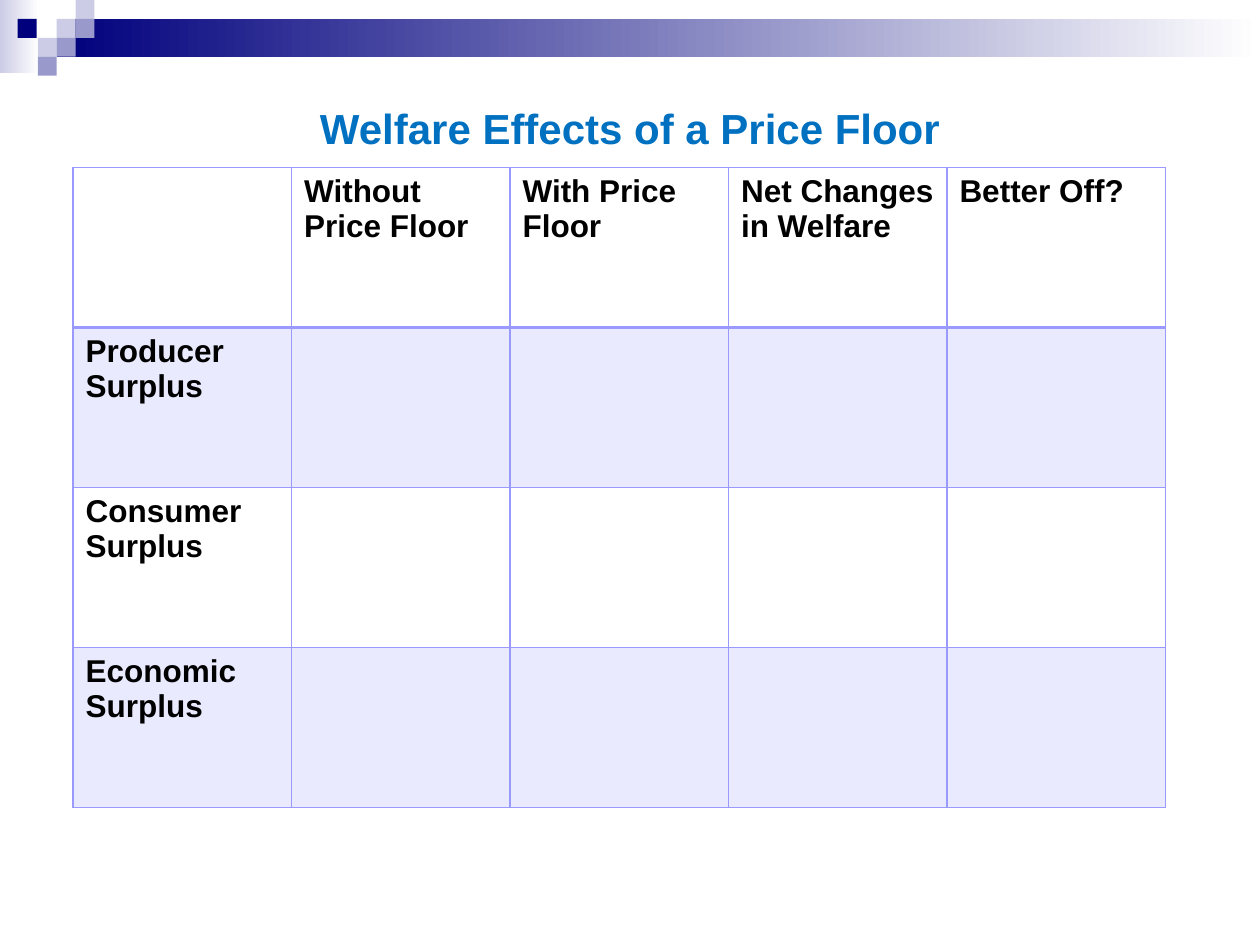
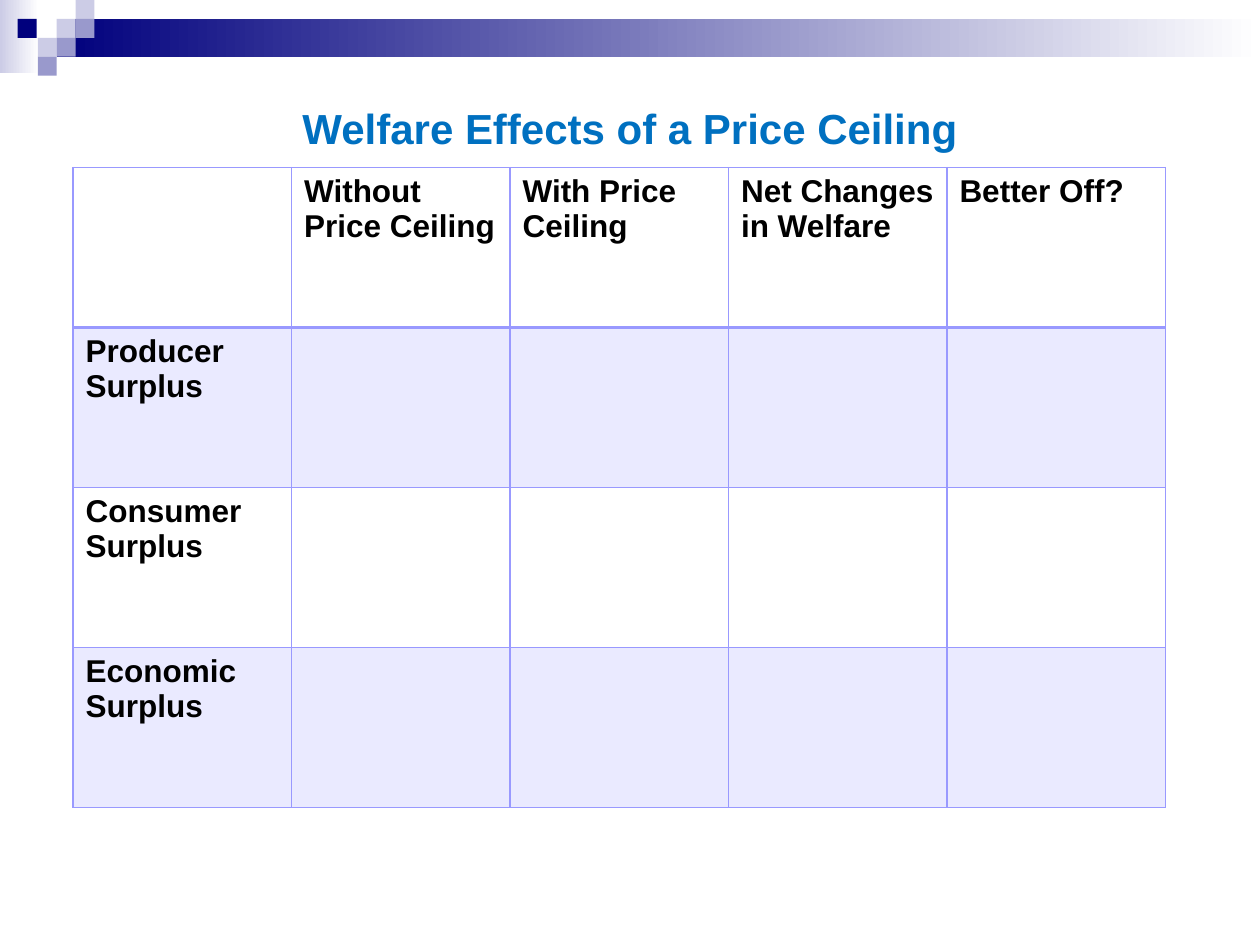
from lxml import etree
from pptx import Presentation
from pptx import util as u
from pptx.dml.color import RGBColor
from pptx.enum import shapes, text
from pptx.oxml.ns import qn

FONT = "Arial"
NAVY, MIST, SLATE, WHITE = "00007D", "CCCCE6", "9999CC", "FFFFFF"
TITLE_BLUE, LAVENDER, BLACK = "0070C0", "9999FF", "000000"
BAND_OPACITY = 20
SQUARE = 0.15
SQUARES = [
    (0.45, 0.15, MIST), (0.6, 0, MIST), (0.6, 0.15, SLATE), (0.3, 0.3, MIST),
    (0.14, 0.15, NAVY), (0.45, 0.3, SLATE), (0.3, 0.45, SLATE),
]
SURPLUSES = ["Producer Surplus", "Consumer Surplus", "Economic Surplus"]
POLICIES = ["Price Floor", "Price Ceiling"]


def color(hex_string):
    return RGBColor.from_string(hex_string)


def write(frame, content, size=18, bold=True, fill=BLACK, align=text.PP_ALIGN.LEFT):
    frame.word_wrap = True
    paragraph = frame.paragraphs[0]
    paragraph.alignment = align
    run = paragraph.add_run()
    run.text = content
    run.font.name = FONT
    run.font.size = u.Pt(size)
    run.font.bold = bold
    run.font.color.rgb = color(fill)


def add_rectangle(slide, left, top, width, height, start, end=None):
    shape = slide.shapes.add_shape(
        shapes.MSO_SHAPE.RECTANGLE, *map(u.Inches, (left, top, width, height)))
    shape.shadow.inherit = False
    shape.line.fill.background()
    if end is None:
        shape.fill.solid()
        shape.fill.fore_color.rgb = color(start)
    else:
        shape.fill.gradient()
        shape.fill.gradient_angle = 0
        for stop, position, tone in zip(shape.fill.gradient_stops, (0, 1), (start, end)):
            stop.position = position
            stop.color.rgb = color(tone)
    return shape


def decorate_layout(layout, slide):
    for placeholder in list(layout.placeholders):
        if placeholder.placeholder_format.idx >= 10:
            layout.placeholders.element.remove(placeholder.element)
    decorations = [
        add_rectangle(slide, 0, 0, 0.31, 0.58, MIST, WHITE),
        add_rectangle(slide, 0.45, 0.15, 9.55, 0.3, NAVY, WHITE),
    ]
    decorations += [add_rectangle(slide, left, top, SQUARE, SQUARE, tone)
                    for left, top, tone in SQUARES]
    for shape in decorations:
        layout.shapes.element.append(shape.element)


def set_title(slide, content):
    title = slide.shapes.title
    title.left, title.top = u.Inches(0.5), u.Inches(0.75)
    title.width, title.height = u.Inches(9), u.Inches(0.53)
    title.text_frame.vertical_anchor = text.MSO_ANCHOR.MIDDLE
    write(title.text_frame, content, size=24, fill=TITLE_BLUE, align=text.PP_ALIGN.CENTER)


def set_borders(cell, **widths):
    properties = cell._tc.get_or_add_tcPr()
    for side in "LRTB":
        line = etree.SubElement(properties, qn(f"a:ln{side}"),
                                w=str(u.Pt(widths.get(side, 1))))
        solid = etree.SubElement(line, qn("a:solidFill"))
        etree.SubElement(solid, qn("a:srgbClr"), val=LAVENDER)


def fill_band(cell):
    cell.fill.solid()
    cell.fill.fore_color.rgb = color(LAVENDER)
    tone = cell._tc.tcPr.find(f"{qn('a:solidFill')}/{qn('a:srgbClr')}")
    etree.SubElement(tone, qn("a:alpha"), val=str(BAND_OPACITY * 1000))


def add_welfare_table(slide, headers):
    rows = [headers] + [[surplus] + [""] * (len(headers) - 1) for surplus in SURPLUSES]
    table = slide.shapes.add_table(
        len(rows), len(headers), u.Inches(0.58), u.Inches(1.33),
        u.Inches(8.67), u.Inches(5.08)).table
    table.first_row = table.horz_banding = False
    for row_index, row in enumerate(rows):
        for column_index, content in enumerate(row):
            cell = table.cell(row_index, column_index)
            set_borders(cell, T=2 if row_index == 1 else 1, B=2 if row_index == 0 else 1)
            if row_index % 2:
                fill_band(cell)
            else:
                cell.fill.background()
            if content:
                write(cell.text_frame, content)


def main():
    presentation = Presentation()
    presentation.slide_width, presentation.slide_height = u.Inches(10), u.Inches(7.5)
    layout = presentation.slide_layouts.get_by_name("Title Only")
    slides = [presentation.slides.add_slide(layout) for _ in POLICIES]
    decorate_layout(layout, slides[0])
    for slide, policy in zip(slides, POLICIES):
        set_title(slide, f"Welfare Effects of a {policy}")
        add_welfare_table(slide, ["", f"Without {policy}", f"With {policy}",
                                  "Net Changes in Welfare", "Better Off?"])
    presentation.save("out.pptx")


if __name__ == "__main__":
    main()
